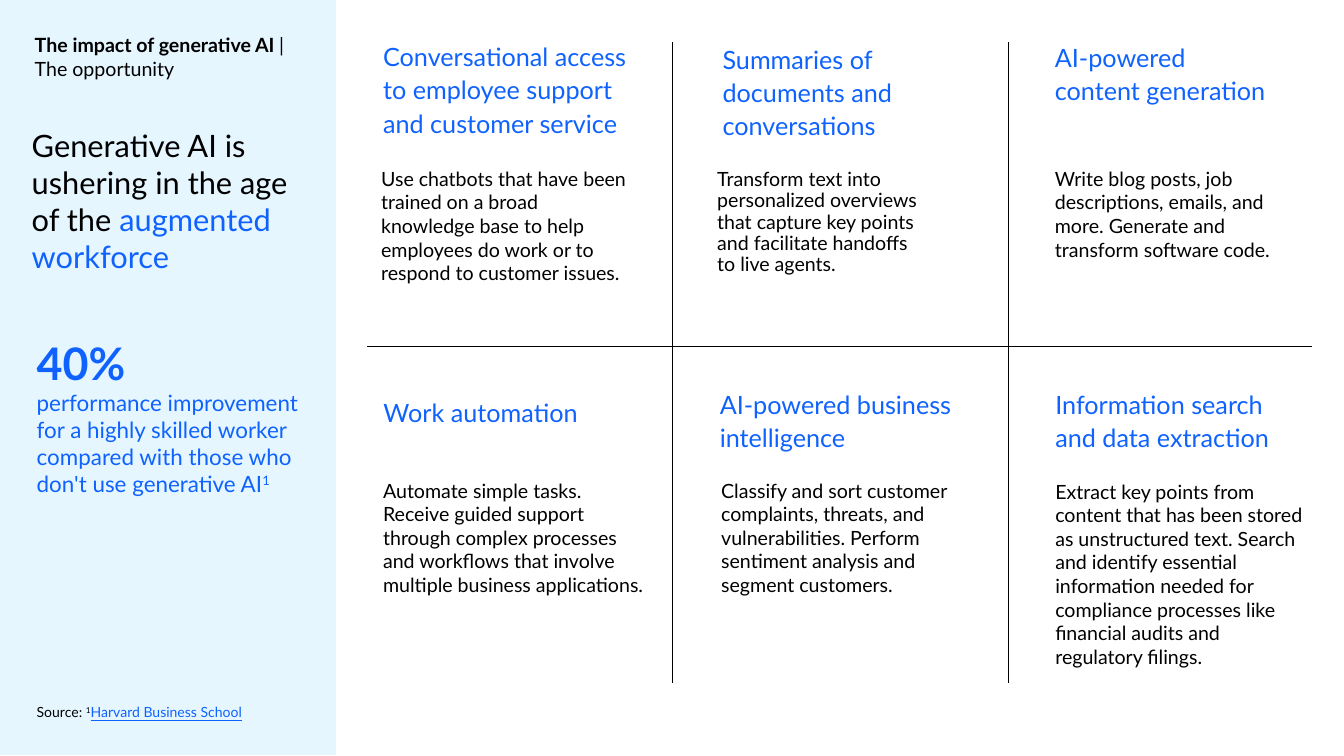
from collections import namedtuple

from lxml import etree
from pptx import Presentation
from pptx import util as u
from pptx.dml.color import RGBColor
from pptx.enum import shapes, text
from pptx.oxml.ns import qn

COLORS = {"ink": "000000", "accent": "0F62FE", "panel": "E5F6FF", "paper": "FFFFFF"}
FONT = "Lato"
WIDE = (0.69, 0.33)
NARROW = (0.25, 0.13)
Box = namedtuple("Box", "left top width height")

CELLS = [
    dict(origin=(18.52, 1.6), head=Box(0.1, 0, 13.94, 5.51), body=Box(0, 6.48, 13.94, 6.68),
         heading="Conversational access to employee support and customer service",
         detail="Use chatbots that have been trained on a broad knowledge base to help "
                "employees do work or to respond to customer issues."),
    dict(origin=(35.46, 1.6), head=Box(0.71, 0.33, 13.34, 5.28), body=Box(0, 6.63, 13.74, 6.07),
         heading="Summaries of documents and conversations", head_insets=NARROW, spacing=0.9,
         detail="Transform text into personalized overviews\nthat capture key points\n"
                "and facilitate handoffs\nto live agents."),
    dict(origin=(52.48, 1.6), head=Box(0, 0.05, 12.34, 6.15), body=Box(0, 6.48, 12.34, 5.46),
         heading="AI-powered content generation",
         detail="Write blog posts, job descriptions, emails, and more. Generate and "
                "transform software code."),
    dict(origin=(18.62, 19.15), head=Box(0.02, 0.38, 13.74, 3.1), body=Box(0, 4.65, 14.91, 6.68),
         heading="Work automation",
         detail="Automate simple tasks. Receive guided support through complex processes "
                "and workflows that involve multiple business applications."),
    dict(origin=(35.59, 19.15), head=Box(0, 0, 13.87, 4.78), body=Box(0.07, 4.65, 14.78, 6.68),
         heading="AI-powered business intelligence",
         detail="Classify and sort customer complaints, threats, and vulnerabilities. "
                "Perform sentiment analysis and segment customers."),
    dict(origin=(52.5, 19.15), head=Box(0, 0, 14.35, 3.1), body=Box(0, 4.7, 13.89, 10.26),
         heading="Information search\nand data extraction",
         detail="Extract key points from content that has been stored as unstructured text. "
                "Search and identify essential information needed for compliance processes "
                "like financial audits and regulatory filings."),
]


def color(name):
    """Return the named palette colour."""
    return RGBColor.from_string(COLORS[name])


def inside(parent, part):
    """Return a part's box moved from its parent's corner to the page."""
    return Box(parent.left + part.left, parent.top + part.top, part.width, part.height)


def write(para, wording, size, fill="ink", bold=False, underline=False, raised=False):
    """Add formatted text to a paragraph, with line breaks at newlines."""
    for index, line in enumerate(wording.split("\n")):
        if index:
            para.add_line_break()
        span = para.add_run()
        span.text = line
        span.font.name = FONT
        span.font.size = u.Pt(size)
        span.font.bold = bold
        span.font.underline = underline
        span.font.color.rgb = color(fill)
        if raised:
            span.font._element.set("baseline", "30000")


def prepare(shape, insets):
    """Set wrapping, anchor and insets, and return the first paragraph."""
    frame = shape.text_frame
    frame.word_wrap = True
    frame.auto_size = text.MSO_AUTO_SIZE.NONE
    frame.vertical_anchor = text.MSO_ANCHOR.TOP
    frame.margin_left = frame.margin_right = u.Cm(insets[0])
    frame.margin_top = frame.margin_bottom = u.Cm(insets[1])
    para = frame.paragraphs[0]
    para.alignment = text.PP_ALIGN.LEFT
    return para


def add_text(page, box, insets=WIDE):
    """Add a text box and return its first paragraph."""
    return prepare(page.shapes.add_textbox(*map(u.Cm, box)), insets)


def add_rule(page, start, end):
    """Draw a thin straight divider."""
    rule = page.shapes.add_connector(shapes.MSO_CONNECTOR.STRAIGHT, *map(u.Cm, start + end))
    rule.line.color.rgb = color("ink")
    rule.line.width = u.Pt(1)
    etree.SubElement(rule._element.spPr, qn("a:effectLst"))


def add_title(page, box):
    """Place the slide title in its placeholder."""
    title = page.shapes.title
    title.left, title.top, title.width, title.height = map(u.Cm, box)
    para = prepare(title, (0, 0))
    write(para, "The impact of generative AI ", 28, bold=True)
    write(para, "|\nThe opportunity", 28)


def add_sidebar(page, box):
    """Fill the left panel with title, statement, key figure and source."""
    panel = page.shapes.add_shape(shapes.MSO_SHAPE.RECTANGLE, *map(u.Cm, box))
    panel.shadow.inherit = False
    panel.fill.solid()
    panel.fill.fore_color.rgb = panel.line.color.rgb = color("panel")
    panel.line.width = u.Pt(1.5)
    page.shapes.title._element.addprevious(panel._element)

    add_title(page, inside(box, Box(1.75, 1.68, 16.76, 2.69)))

    statement = add_text(page, inside(box, Box(1.6, 6.4, 13.56, 7.52)), (0, 0))
    write(statement, "Generative AI is ushering in the age of the ", 44)
    write(statement, "augmented workforce", 44, "accent")

    figure = add_text(page, inside(box, Box(1.6, 16.79, 14.22, 8.46)), NARROW)
    write(figure, "40%", 64, "accent", bold=True)
    claim = figure._parent.add_paragraph()
    write(claim, "performance improvement for a highly skilled worker compared with "
                 "those who don't use generative AI", 32, "accent")
    write(claim, "1", 32, "accent", raised=True)

    source = add_text(page, inside(box, Box(1.6, 35.31, 14.71, 1.12)), NARROW)
    write(source, "Source: ", 20)
    write(source, "1", 20, raised=True)
    write(source, "Harvard Business School", 20, "accent", underline=True)


def add_cell(page, origin, head, body, heading, detail, head_insets=WIDE, spacing=1.0):
    """Place one use case: a heading above its description."""
    cell = Box(*origin, 0, 0)
    para = add_text(page, inside(cell, head), head_insets)
    para.line_spacing = 1.1
    write(para, heading, 36, "accent")
    para = add_text(page, inside(cell, body))
    para.line_spacing = spacing
    write(para, detail, 28)


def add_grid(page, box):
    """Draw the dividers and the six use cases."""
    bottom = box.top + box.height
    for left in (33.88, 50.8):
        add_rule(page, (left, box.top), (left, bottom))
    middle = 17.45
    add_rule(page, (box.left, middle), (box.left + box.width, middle))
    for cell in CELLS:
        add_cell(page, **cell)


def main():
    """Build and save the deck."""
    deck = Presentation()
    deck.slide_width, deck.slide_height = u.Cm(67.74), u.Cm(38.1)
    page = deck.slides.add_slide(deck.slide_layouts[5])
    page.background.fill.solid()
    page.background.fill.fore_color.rgb = color("paper")
    add_sidebar(page, Box(0, 0, 16.92, 38.05))
    add_grid(page, Box(18.52, 2.13, 47.6, 32.29))
    deck.save("out.pptx")


if __name__ == "__main__":
    main()
